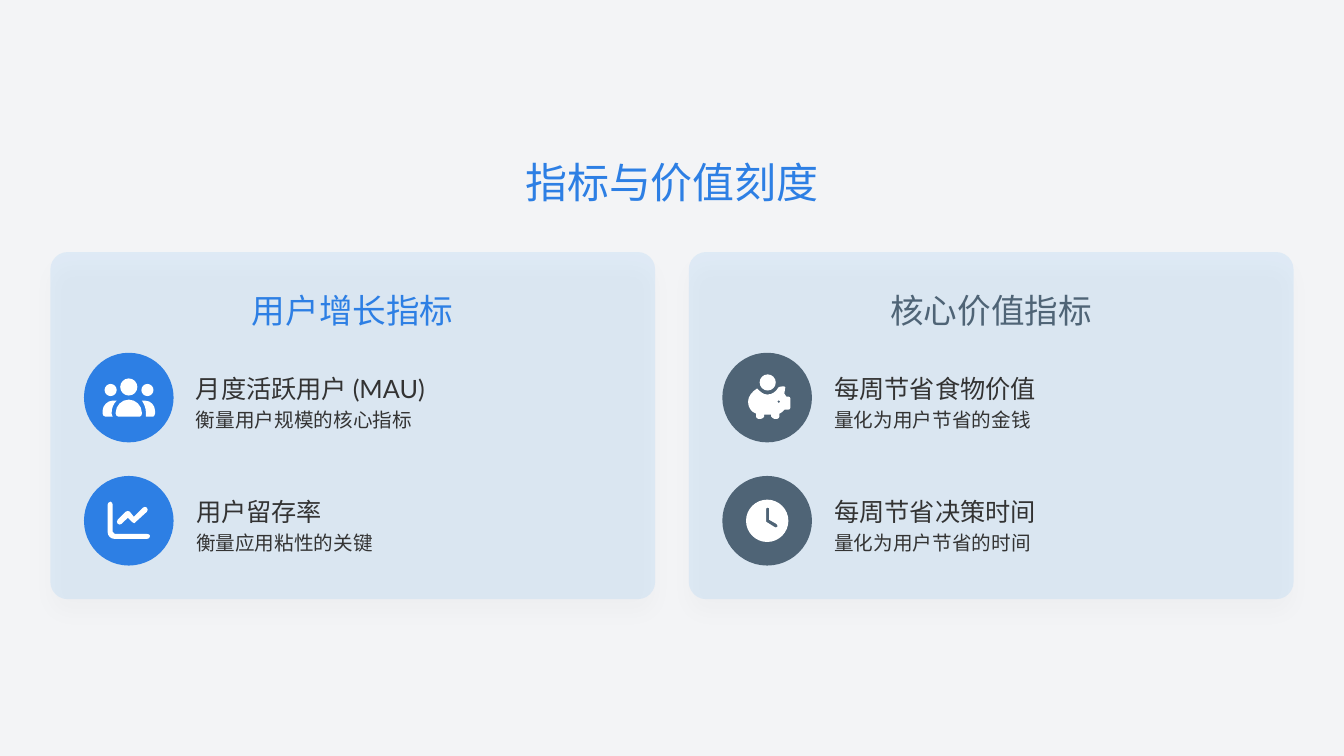
from dataclasses import dataclass

from lxml.etree import SubElement
from pptx import Presentation
from pptx.dml.color import RGBColor
from pptx.enum.shapes import MSO_SHAPE
from pptx.enum.text import MSO_ANCHOR, PP_ALIGN
from pptx.oxml.ns import qn
from pptx.shapes.autoshape import Shape
from pptx.slide import Slide
from pptx.util import Inches, Pt

COLORS = {
    "page": "F3F4F6",
    "card": "8EC5F5",
    "blue": "2D7FE4",
    "slate": "4F6476",
    "text": "333333",
    "white": "FFFFFF",
    "shadow": "000000",
}
CJK_FONT = "Noto Sans CJK SC"
LATIN_FONT = "Lato"
UNIT = 1 / 18
SLIDE_W, MARGIN, GAP = 240 * UNIT, 9 * UNIT, 6 * UNIT
CARD_TOP, CARD_W, CARD_H = 45 * UNIT, 108 * UNIT, 62 * UNIT
BADGE, ROW_TOP, ROW_STEP = 16 * UNIT, 63 * UNIT, 22 * UNIT
TEXT_OFFSET = BADGE + 4 * UNIT
Command = tuple[str, list[tuple[float, float]]]


@dataclass(frozen=True)
class Icon:
    outlines: tuple[str, ...]
    discs: tuple[tuple[float, float, float], ...] = ()


@dataclass(frozen=True)
class Metric:
    name: str
    detail: str
    text_w: float
    icon: Icon


@dataclass(frozen=True)
class Card:
    heading: str
    color: str
    metrics: tuple[Metric, ...]


@dataclass(frozen=True)
class TextStyle:
    size: float
    color: str
    font: str = CJK_FONT
    align: PP_ALIGN = PP_ALIGN.CENTER
    spacing: float | None = None


USERS = Icon(
    (
        "M -26 13 C -26 8 -21 3 -16 3 C -14 3 -13 3 -12 3 C -15 6 -17 10 -17 15 "
        "L -17 16 C -17 17 -17 18 -16 19 L -23 19 C -25 19 -26 17 -26 16 L -26 13",
        "M 17 19 C 17 18 17 17 17 16 L 17 15 C 17 10 15 6 13 3 C 14 3 15 3 16 3 "
        "C 22 3 26 8 26 13 L 26 16 C 26 17 25 19 24 19 L 17 19",
        "M -13 15 C -13 8 -7 2 0 2 C 7 2 13 8 13 15 L 13 16 "
        "C 13 17 12 19 11 19 L -10 19 C -12 19 -13 17 -13 16 L -13 15",
    ),
    ((0, -10.5, 8.5), (-18, -7.5, 6), (18.5, -7.5, 6)),
)
TREND = Icon((
    "M -16 -16 C -16 -17 -17 -19 -18 -19 C -20 -19 -21 -17 -21 -16 L -21 11 "
    "C -21 15 -18 18 -14 18 L 18 18 C 20 18 21 17 21 15 C 21 14 20 13 18 13 "
    "L -14 13 C -15 13 -16 12 -16 11 L -16 -16",
    "M 18 -9 C 19 -10 19 -12 18 -13 C 17 -14 15 -14 14 -13 L 5 -4 L 1 -9 "
    "C 0 -10 -2 -10 -3 -9 L -11 -1 C -12 0 -12 2 -11 3 C -10 4 -8 4 -7 3 "
    "L -1 -3 L 3 1 C 5 3 6 3 7 1 L 18 -9",
))
PIGGY_BANK = Icon(
    (
        "M -19 4 C -19 -1 -15 -6 -10 -9 C -7 -6 -4 -3 0 -3 C 5 -3 9 -6 11 -10 "
        "C 12 -11 14 -11 15 -11 L 17 -11 C 18 -11 18 -10 18 -10 L 17 -4 "
        "C 18 -3 18 -2 19 -1 L 21 -1 C 22 -1 23 0 23 1 L 23 10 "
        "C 23 11 22 12 21 12 L 17 12 C 16 14 14 15 12 16 L 12 19 "
        "C 12 20 11 21 10 21 L 7 21 C 6 21 5 20 4 19 L 4 17 L -3 17 L -3 19 "
        "C -4 20 -5 21 -6 21 L -9 21 C -10 21 -11 20 -11 19 L -11 16 "
        "C -16 14 -19 10 -19 4",
    ),
    ((0.5, -15, 8), (11.5, 4, 1.5)),
)
CLOCK = Icon(
    (
        "M -1 -11 L -1 0 C -1 0 -1 1 -1 1 L 7 6 C 8 7 9 7 10 6 C 11 5 10 4 9 3 "
        "L 2 -1 L 2 -11 C 2 -13 2 -13 0 -13 C -1 -13 -1 -13 -1 -11",
    ),
    ((0, 0, 21),),
)

CARDS = (
    Card("用户增长指标", "blue", (
        Metric("月度活跃用户 (MAU)", "衡量用户规模的核心指标", 2.96, USERS),
        Metric("用户留存率", "衡量应用粘性的关键", 2.31, TREND),
    )),
    Card("核心价值指标", "slate", (
        Metric("每周节省食物价值", "量化为用户节省的金钱", 2.56, PIGGY_BANK),
        Metric("每周节省决策时间", "量化为用户节省的时间", 2.56, CLOCK),
    )),
)
TITLE = TextStyle(30, "blue")
NAME = TextStyle(18, "text", LATIN_FONT, PP_ALIGN.LEFT, 1.3)
DETAIL = TextStyle(14, "text", LATIN_FONT, PP_ALIGN.LEFT, 1.2)


def rgb(name: str) -> RGBColor:
    return RGBColor.from_string(COLORS[name])


def paint(sp: Shape, color: str) -> None:
    sp.fill.solid()
    sp.fill.fore_color.rgb = rgb(color)
    sp.line.fill.background()
    sp.shadow.inherit = False


def add_text(s: Slide, text: str, x: float, y: float, w: float, h: float,
             style: TextStyle) -> None:
    tf = s.shapes.add_textbox(*map(Inches, (x, y, w, h))).text_frame
    frame = {"word_wrap": True, "vertical_anchor": MSO_ANCHOR.MIDDLE,
             "margin_left": 0, "margin_right": 0, "margin_top": 0, "margin_bottom": 0}
    p = tf.paragraphs[0]
    r = p.add_run()
    r.text = text
    paragraph = {"alignment": style.align, "line_spacing": style.spacing}
    font = {"size": Pt(style.size), "name": style.font}
    for target, values in ((tf, frame), (p, paragraph), (r.font, font)):
        for key, value in values.items():
            setattr(target, key, value)
    r.font.color.rgb = rgb(style.color)
    SubElement(r._r.get_or_add_rPr(), qn("a:ea"), typeface=CJK_FONT)


def disc_outline(x: float, y: float, r: float) -> str:
    k = 0.55 * r
    return (f"M {x} {y - r} C {x + k} {y - r} {x + r} {y - k} {x + r} {y} "
            f"C {x + r} {y + k} {x + k} {y + r} {x} {y + r} "
            f"C {x - k} {y + r} {x - r} {y + k} {x - r} {y} "
            f"C {x - r} {y - k} {x - k} {y - r} {x} {y - r}")


def commands(outline: str) -> list[Command]:
    tokens = outline.split()
    found: list[Command] = []
    while tokens:
        kind = tokens.pop(0)
        count = 6 if kind == "C" else 2
        nums = [Inches(float(n) / 100) for n in tokens[:count]]
        del tokens[:count]
        found.append((kind, list(zip(nums[::2], nums[1::2]))))
    return found


def add_icon(s: Slide, icon: Icon, cx: float, cy: float) -> None:
    outlines = [disc_outline(*d) for d in icon.discs] + list(icon.outlines)
    contours = [commands(o) for o in outlines]
    builder = s.shapes.build_freeform(*contours[0][0][1][0])
    for i, (start, *rest) in enumerate(contours):
        if i:
            builder.move_to(*start[1][0])
        builder.add_line_segments([pt for _, pts in rest for pt in pts], close=True)
    sp = builder.convert_to_shape(Inches(cx), Inches(cy))
    outline = sp._element.find(".//" + qn("a:path"))
    segments = iter(outline.findall(qn("a:lnTo")))
    for _, *rest in contours:
        for _, pts in rest:
            first, *others = [next(segments) for _ in pts]
            if others:
                curve = SubElement(outline, qn("a:cubicBezTo"))
                first.addprevious(curve)
                for segment in (first, *others):
                    curve.append(segment[0])
                    outline.remove(segment)
    paint(sp, "white")


def add_panel(s: Slide, x: float) -> None:
    sp = s.shapes.add_shape(MSO_SHAPE.ROUNDED_RECTANGLE,
                            *map(Inches, (x, CARD_TOP, CARD_W, CARD_H)))
    sp.adjustments[0] = 0.05
    paint(sp, "card")
    spPr = sp._element.spPr
    SubElement(spPr.find(".//" + qn("a:srgbClr")), qn("a:alpha"), val="20000")
    shadow = SubElement(spPr.find(qn("a:effectLst")), qn("a:outerShdw"),
                        blurRad=str(Pt(15)), dist=str(Pt(10)), dir="5400000",
                        algn="ctr", rotWithShape="0")
    color = SubElement(shadow, qn("a:srgbClr"), val=COLORS["shadow"])
    SubElement(color, qn("a:alpha"), val="10000")


def add_metric(s: Slide, metric: Metric, color: str, x: float, y: float) -> None:
    sp = s.shapes.add_shape(MSO_SHAPE.OVAL, *map(Inches, (x, y, BADGE, BADGE)))
    paint(sp, color)
    add_icon(s, metric.icon, x + BADGE / 2, y + BADGE / 2)
    left = x + TEXT_OFFSET
    add_text(s, metric.name, left, y + 2 * UNIT, metric.text_w, 7 * UNIT, NAME)
    add_text(s, metric.detail, left, y + 9 * UNIT, metric.text_w, 5 * UNIT, DETAIL)


def main() -> None:
    prs = Presentation()
    prs.slide_width, prs.slide_height = Inches(SLIDE_W), Inches(7.5)
    s = prs.slides.add_slide(prs.slide_layouts[6])
    s.background.fill.solid()
    s.background.fill.fore_color.rgb = rgb("page")
    add_text(s, "指标与价值刻度", 0, 28 * UNIT, SLIDE_W, 9 * UNIT, TITLE)
    for col, card in enumerate(CARDS):
        x = MARGIN + col * (CARD_W + GAP)
        add_panel(s, x)
        add_text(s, card.heading, x + UNIT, 51 * UNIT, CARD_W - 2 * UNIT, 8 * UNIT,
                 TextStyle(24, card.color, spacing=1.1))
        for row, metric in enumerate(card.metrics):
            add_metric(s, metric, card.color, x + GAP, ROW_TOP + row * ROW_STEP)
    prs.save("out.pptx")


if __name__ == "__main__":
    main()
